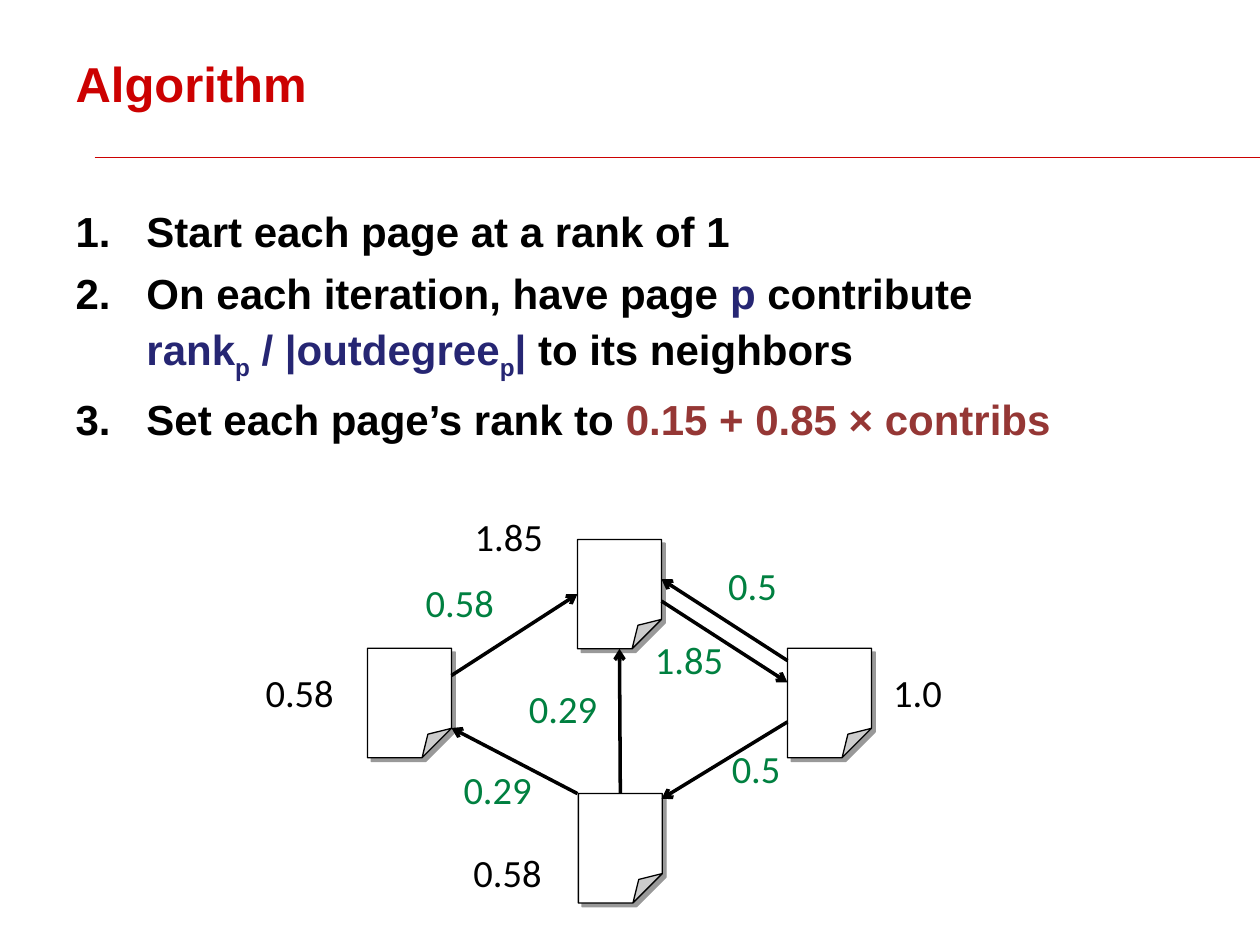
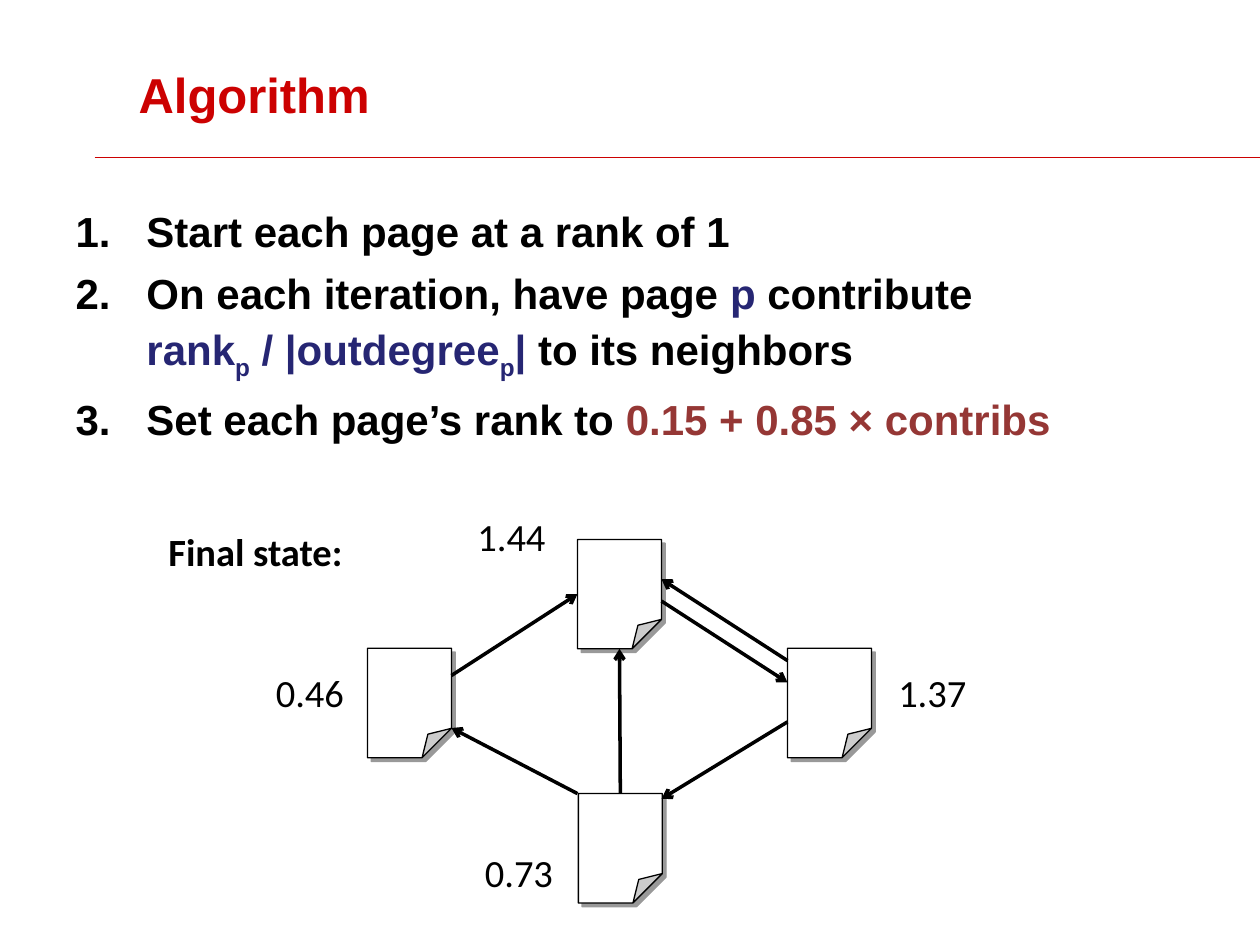
from lxml import etree
from pptx import Presentation
from pptx import util as u
from pptx.dml.color import RGBColor
from pptx.enum import shapes, text
from pptx.oxml.ns import qn

Pt = u.Pt
COLORS = {"red": "CC0101", "black": "000000", "white": "FFFFFF",
          "navy": "262673", "brown": "953735", "green": "008040"}
RGB = {name: RGBColor.from_string(value) for name, value in COLORS.items()}

# Numbered steps: lists of (text, colour, subscript)
STEPS = [
    [("Start each page at a rank of 1", "black", False)],
    [("On each iteration, have page ", "black", False), ("p", "navy", False),
     (" contribute\v", "black", False), ("rank", "navy", False),
     ("p", "navy", True), (" / |outdegree", "navy", False),
     ("p", "navy", True), ("|", "navy", False),
     (" to its neighbors", "black", False)],
    [("Set each page’s rank to ", "black", False),
     ("0.15 + 0.85 × contribs", "brown", False)],
]

# Link graph: page positions, and links as start point, end point
PAGE_W, PAGE_H = 48, 62.5
PAGES = {"left": (210, 370.5), "top": (330, 308.25),
         "right": (450, 370.5), "bottom": (330.5, 453.5)}
LINKS = [((330, 453.5), (258, 416)), ((450, 377.5), (378, 331)),
         ((378, 343.5), (450, 390)), ((450, 412.5), (378, 456.5))]
SIDE_LINK_START = (258, 386)

# Ranks and contributions: text, left, top, width, colour, bold
SIDE_Y, TOP_Y, BOTTOM_Y = 378.7, 289.4, 481.7
SLIDES = [
    {"title": (36, 23.8), "align": text.PP_ALIGN.LEFT, "labels": [
        ("0.58", 236.2, 327.6, 58, "green", False),
        ("0.29", 257.8, 434.2, 58, "green", False),
        ("0.29", 295.2, 388.1, 58, "green", False),
        ("0.5", 409, 317.5, 45, "green", False),
        ("1.85", 367.2, 360, 58, "green", False),
        ("0.5", 411.1, 421.9, 45, "green", False),
        ("0.58", 144.7, SIDE_Y, 58, "black", False),
        ("1.0", 503.3, SIDE_Y, 45, "black", False),
        ("1.85", 264.2, TOP_Y, 58, "black", False),
        ("0.58", 263.5, BOTTOM_Y, 58, "black", False)]},
    {"title": (72, 30.2), "align": text.PP_ALIGN.CENTER, "labels": [
        ("0.46", 148.1, SIDE_Y, 58, "black", False),
        ("1.37", 503.8, SIDE_Y, 58, "black", False),
        ("1.44", 263.3, TOP_Y, 58, "black", False),
        ("0.73", 267.6, BOTTOM_Y, 58, "black", False),
        ("Final state:", 78.5, 298.1, 135, "black", True)]},
]


def add_line(s, start, end, color, width, arrow=False):
    line = s.shapes.add_connector(shapes.MSO_CONNECTOR.STRAIGHT,
                                  *(Pt(v) for v in (*start, *end)))
    line.line.color.rgb = RGB[color]
    line.line.width = Pt(width)
    if arrow:
        ln = line.line._get_or_add_ln()
        etree.SubElement(ln, qn("a:tailEnd"), type="arrow")
    etree.SubElement(line._element.spPr, qn("a:effectLst"))
    return line


def set_font(font, name, size, color, bold):
    font.name, font.size, font.bold = name, Pt(size), bold
    font.color.rgb = RGB[color]


prs = Presentation()
prs.slide_width, prs.slide_height = Pt(720), Pt(540)

for data in SLIDES:
    s = prs.slides.add_slide(prs.slide_layouts[1])
    add_line(s, (54, 90), (720, 90), "red", 1)

    # Title
    sp = s.shapes.title
    sp.left, sp.top = (Pt(v) for v in data["title"])
    sp.width, sp.height = Pt(648), Pt(90)
    tf = sp.text_frame
    tf.text = "Algorithm"
    tf.margin_top = Pt(6.5)
    tf.vertical_anchor = text.MSO_ANCHOR.TOP
    tf.auto_size = text.MSO_AUTO_SIZE.NONE
    p = tf.paragraphs[0]
    p.alignment = text.PP_ALIGN.LEFT
    set_font(p.font, "Arial", 28, "red", True)

    # Steps
    sp = s.placeholders[1]
    sp.left, sp.top, sp.width, sp.height = Pt(36), Pt(110.9), Pt(648), Pt(157.7)
    tf = sp.text_frame
    tf.auto_size = text.MSO_AUTO_SIZE.NONE
    for i, step in enumerate(STEPS):
        p = tf.paragraphs[0] if i == 0 else tf.add_paragraph()
        p.line_spacing = 1.1
        p.space_before = Pt(4 if i else 6)
        set_font(p.font, "Arial", 24, "black", True)
        pPr = p._p.get_or_add_pPr()
        pPr.set("marL", str(Pt(40.5)))
        pPr.set("indent", str(-Pt(40.5)))
        bullet_color = etree.Element(qn("a:buClr"))
        etree.SubElement(bullet_color, qn("a:srgbClr"), val=COLORS["black"])
        bullet_font = etree.Element(qn("a:buFont"), typeface="Arial")
        number = etree.Element(qn("a:buAutoNum"), type="arabicPeriod")
        for bullet in (bullet_color, bullet_font, number):
            pPr.find(qn("a:defRPr")).addprevious(bullet)
        for words, color, subscript in step:
            # A vertical tab stands for a line break
            r = p.add_run()
            r.text = words.rstrip("\v")
            set_font(r.font, "Arial", 24, color, True)
            if subscript:
                r.font._element.set("baseline", "-25000")
            if words.endswith("\v"):
                p.add_line_break()

    # Pages
    pages = {}
    for name, (x, y) in PAGES.items():
        sp = s.shapes.add_shape(shapes.MSO_SHAPE.FOLDED_CORNER,
                                Pt(x), Pt(y), Pt(PAGE_W), Pt(PAGE_H))
        guides = sp._element.spPr.find(qn("a:prstGeom")).find(qn("a:avLst"))
        etree.SubElement(guides, qn("a:gd"), name="adj", fmla="val 35000")
        sp.fill.solid()
        sp.fill.fore_color.rgb = RGB["white"]
        sp.line.color.rgb = RGB["black"]
        sp.line.width = Pt(0.75)
        sp.shadow.inherit = False
        effects = sp._element.spPr.find(qn("a:effectLst"))
        shadow = etree.SubElement(effects, qn("a:outerShdw"), blurRad="0",
                                  dist=str(Pt(3)), dir="2700000")
        shade = etree.SubElement(shadow, qn("a:srgbClr"), val=COLORS["black"])
        etree.SubElement(shade, qn("a:alpha"), val="40000")
        pages[name] = sp

    # Links
    for start, end in LINKS:
        add_line(s, start, end, "black", 2, arrow=True)
    link = add_line(s, PAGES["bottom"], PAGES["top"], "black", 2, arrow=True)
    link.begin_connect(pages["bottom"], 0)
    link.end_connect(pages["top"], 2)
    link = add_line(s, SIDE_LINK_START, PAGES["top"], "black", 2, arrow=True)
    link.end_connect(pages["top"], 1)

    # Ranks and contributions
    for words, x, y, width, color, bold in data["labels"]:
        tf = s.shapes.add_textbox(Pt(x), Pt(y), Pt(width), Pt(34)).text_frame
        tf.word_wrap = False
        tf.text = words
        p = tf.paragraphs[0]
        p.alignment = data["align"]
        set_font(p.font, "Calibri", 22, color, bold)

prs.save("out.pptx")
